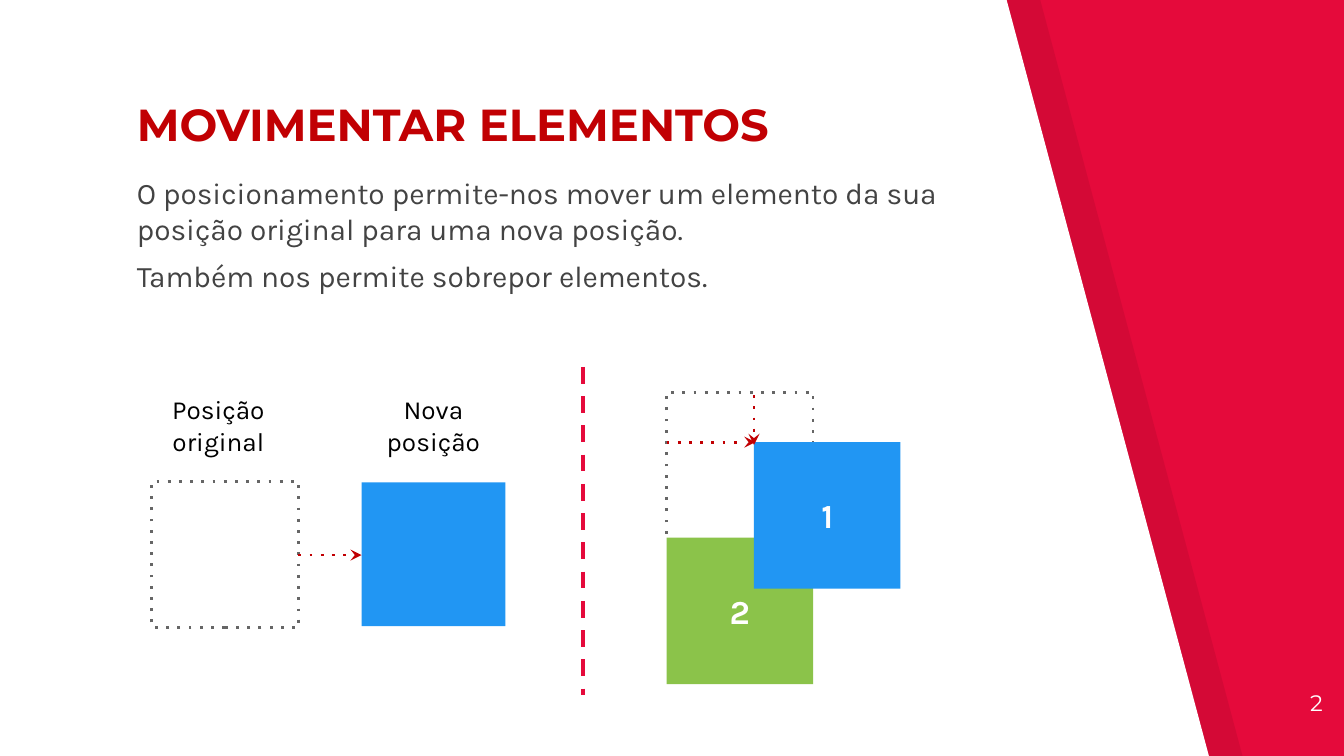
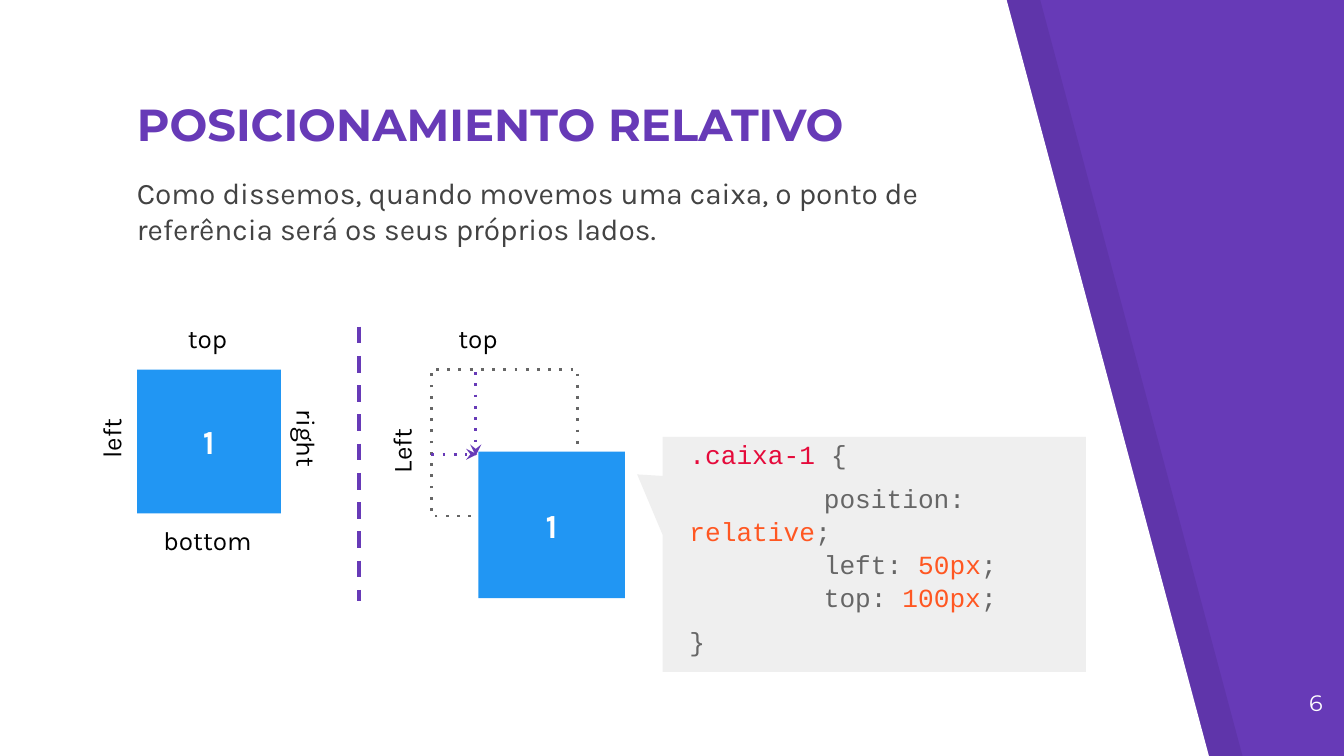
from dataclasses import dataclass

import pptx
import pptx.dml.color
import pptx.enum.shapes
import pptx.enum.text
import pptx.oxml.ns
import pptx.util
from lxml import etree

PX = 4572  # EMU per px, 200 px to the inch
SLIDE_W, SLIDE_H = 2000, 1125
INSET = 20
BOX, MOVED_BOX = 214, 218  # sides of the squares

ALIGN = pptx.enum.text.PP_ALIGN
ANCHOR = pptx.enum.text.MSO_ANCHOR
SHAPE = pptx.enum.shapes.MSO_SHAPE


@dataclass(frozen=True)
class Theme:
    red: str = "E50A3B"
    dark_red: str = "C10003"
    purple: str = "673AB7"
    blue: str = "2196F3"
    green: str = "8BC34A"
    orange: str = "FF5722"
    white: str = "FFFFFF"
    black: str = "000000"
    body: str = "434343"
    gray: str = "666666"
    code_panel: str = "EFEFEF"
    heading_font: str = "Montserrat"
    body_font: str = "Karla"
    code_font: str = "Courier New"
    title_size: int = 24
    box_size: int = 18
    body_size: int = 16
    label_size: int = 14
    number_size: int = 12
    dot_width: float = 1.5
    divider_width: float = 2.25


THEME = Theme()


def px(*lengths):
    return [pptx.util.Emu(length * PX) for length in lengths]


def rgb(color):
    return pptx.dml.color.RGBColor.from_string(color)


def add_xml(parent, tag, **attributes):
    return etree.SubElement(parent, pptx.oxml.ns.qn(tag), attributes)


def paint(shape, color):
    """Solid fill without outline; no fill when color is None."""
    shape.shadow.inherit = False
    shape.line.fill.background()
    if color:
        shape.fill.solid()
        shape.fill.fore_color.rgb = rgb(color)
    else:
        shape.fill.background()


def stroke(shape, color, width, dash, arrow=False):
    shape.line.color.rgb = rgb(color)
    shape.line.width = pptx.util.Pt(width)
    outline = shape.element.spPr.find(pptx.oxml.ns.qn("a:ln"))
    add_xml(outline, "a:prstDash", val=dash)
    if arrow:
        add_xml(outline, "a:tailEnd", type="stealth")


# Text

def set_frame(frame, anchor, left=INSET, top=INSET, right=INSET, bottom=INSET):
    frame.word_wrap = True
    frame.vertical_anchor = anchor
    (frame.margin_left, frame.margin_top,
     frame.margin_right, frame.margin_bottom) = px(left, top, right, bottom)


def add_run(paragraph, text, font, size, color, bold=False):
    run = paragraph.add_run()
    run.text = text
    run.font.name = font
    run.font.size = pptx.util.Pt(size)
    run.font.color.rgb = rgb(color)
    run.font.bold = bold


def next_paragraph(frame, index, align, space_before=0):
    paragraph = frame.add_paragraph() if index else frame.paragraphs[0]
    paragraph.alignment = align
    paragraph.space_before = pptx.util.Pt(space_before if index else 0)
    return paragraph


def add_text(slide, area, lines, font, size, color, bold=False,
             align=ALIGN.LEFT, anchor=ANCHOR.TOP, space_before=0, indent=INSET):
    textbox = slide.shapes.add_textbox(*px(*area))
    set_frame(textbox.text_frame, anchor, left=indent)
    for index, line in enumerate(lines):
        paragraph = next_paragraph(textbox.text_frame, index, align, space_before)
        add_run(paragraph, line, font, size, color, bold)
    return textbox


def add_label(slide, area, *lines, rotation=0, **options):
    options = {"align": ALIGN.CENTER, "anchor": ANCHOR.MIDDLE} | options
    label = add_text(slide, area, lines, THEME.body_font, THEME.label_size,
                     THEME.black, **options)
    label.rotation = rotation


# Diagram parts

def add_box(slide, x, y, side, color, number=None):
    box = slide.shapes.add_shape(SHAPE.RECTANGLE, *px(x, y, side, side))
    paint(box, color)
    if number:
        set_frame(box.text_frame, ANCHOR.MIDDLE)
        paragraph = next_paragraph(box.text_frame, 0, ALIGN.CENTER)
        add_run(paragraph, number, THEME.body_font, THEME.box_size, THEME.white, True)
    return box


def add_old_place(slide, x, y):
    outline = add_box(slide, x, y, MOVED_BOX, None)
    stroke(outline, THEME.gray, THEME.dot_width, "dot")


def add_line(slide, start, end, color, width, dash, arrow=False):
    line = slide.shapes.add_connector(
        pptx.enum.shapes.MSO_CONNECTOR.STRAIGHT, *px(*start, *end))
    stroke(line, color, width, dash, arrow)
    add_xml(line.element.spPr, "a:effectLst")


def add_arrow(slide, start, end, color):
    add_line(slide, start, end, color, THEME.dot_width, "dot", arrow=True)


def add_divider(slide, x, top, bottom, color):
    add_line(slide, (x, top), (x, bottom), color, THEME.divider_width, "dash")


def add_code_callout(slide, area, paragraphs):
    """Each paragraph is a list of lines, each line a list of (text, color)."""
    callout = slide.shapes.add_shape(SHAPE.ROUNDED_RECTANGULAR_CALLOUT, *px(*area))
    for index, value in enumerate((-0.56, -0.34, 0)):
        callout.adjustments[index] = value
    paint(callout, THEME.code_panel)
    set_frame(callout.text_frame, ANCHOR.TOP, left=40, top=0, right=40)
    for index, lines in enumerate(paragraphs):
        paragraph = next_paragraph(callout.text_frame, index, ALIGN.LEFT, 6)
        paragraph.line_spacing = 1.05
        tabs = add_xml(paragraph._p.get_or_add_pPr(), "a:tabLst")
        add_xml(tabs, "a:tab", pos=str(200 * PX), algn="l")
        for number, line in enumerate(lines):
            if number:
                paragraph.add_line_break()
            for text, color in line:
                add_run(paragraph, text, THEME.code_font, THEME.label_size, color)


# Shared slide frame

def add_page_edge(slide, shift, color, alpha=None):
    edge = slide.shapes.build_freeform(shift, 0, scale=PX)
    edge.add_line_segments([(1498 + shift, 0), (1799 + shift, SLIDE_H),
                            (shift, SLIDE_H)])
    page = edge.convert_to_shape()
    paint(page, color)
    if alpha:
        fill = page.element.spPr.find(pptx.oxml.ns.qn("a:solidFill"))
        add_xml(fill[0], "a:alpha", val=str(alpha * 1000))


def add_slide(deck, accent, title_color, title, body, number):
    slide = deck.slides.add_slide(deck.slide_layouts[6])
    slide.background.fill.solid()
    slide.background.fill.fore_color.rgb = rgb(accent)
    add_page_edge(slide, 50, THEME.black, alpha=7)
    add_page_edge(slide, 0, THEME.white)
    add_text(slide, (184, 154, 1134, 90), [title], THEME.heading_font,
             THEME.title_size, title_color, bold=True, anchor=ANCHOR.BOTTOM)
    add_text(slide, (184, 240, 1282, 224), body, THEME.body_font,
             THEME.body_size, THEME.body, space_before=6)
    add_text(slide, (1868, 1006, 120, 86), [number], THEME.heading_font,
             THEME.number_size, THEME.white, align=ALIGN.RIGHT)
    return slide


# Slides

def build_moving(deck):
    slide = add_slide(
        deck, THEME.red, THEME.dark_red, "MOVIMENTAR ELEMENTOS",
        ["O posicionamento permite-nos mover um elemento da sua posição "
         "original para uma nova posição.",
         "Também nos permite sobrepor elementos."], "2")

    # From the first position to the new one
    add_box(slide, 538, 718, BOX, THEME.blue)
    add_old_place(slide, 226, 716)
    add_arrow(slide, (444, 826), (538, 826), THEME.dark_red)
    add_label(slide, (218, 566, BOX, 74), "Posição", "original", anchor=ANCHOR.TOP)
    add_label(slide, (538, 566, BOX, 74), "Nova posição", anchor=ANCHOR.TOP)

    # Overlapping boxes
    add_old_place(slide, 992, 584)
    add_box(slide, 992, 800, MOVED_BOX, THEME.green, "2")
    add_box(slide, 1122, 658, MOVED_BOX, THEME.blue, "1")
    add_arrow(slide, (992, 658), (1124, 658), THEME.dark_red)
    add_arrow(slide, (1122, 588), (1122, 662), THEME.dark_red)
    add_divider(slide, 868, 546, 1034, THEME.red)


def build_relative(deck):
    slide = add_slide(
        deck, THEME.purple, THEME.purple, "POSICIONAMIENTO RELATIVO",
        ["Como dissemos, quando movemos uma caixa, o ponto de referência "
         "será os seus próprios lados."], "6")

    # Box with its four sides
    add_box(slide, 204, 550, BOX, THEME.blue, "1")
    add_label(slide, (202, 466, BOX, 74), "top")
    add_label(slide, (202, 766, BOX, 74), "bottom")
    add_label(slide, (62, 616, 206, 74), "left", rotation=270)
    add_label(slide, (354, 616, 206, 74), "right", rotation=90)
    add_divider(slide, 534, 486, 894, THEME.purple)

    # Box moved from its own left and top sides
    add_old_place(slide, 642, 550)
    add_box(slide, 712, 672, MOVED_BOX, THEME.blue, "1")
    add_arrow(slide, (642, 676), (710, 676), THEME.purple)
    add_arrow(slide, (708, 554), (708, 678), THEME.purple)
    add_label(slide, (634, 466, BOX, 74), "top", align=ALIGN.LEFT, indent=48)
    add_label(slide, (494, 616, 206, 74), "Left", rotation=270,
              align=ALIGN.LEFT, indent=52)

    # Style rule
    declarations = [("position", "relative"), ("left", "50px"), ("top", "100px")]
    add_code_callout(slide, (986, 650, 630, 350), [
        [[(".caixa-1 ", THEME.red), ("{", THEME.gray)]],
        [[(f"\t{name}: ", THEME.gray), (value, THEME.orange), (";", THEME.gray)]
         for name, value in declarations],
        [[("}", THEME.gray)]],
    ])


def main():
    deck = pptx.Presentation()
    deck.slide_width, deck.slide_height = px(SLIDE_W, SLIDE_H)
    build_moving(deck)
    build_relative(deck)
    deck.save("out.pptx")


if __name__ == "__main__":
    main()
